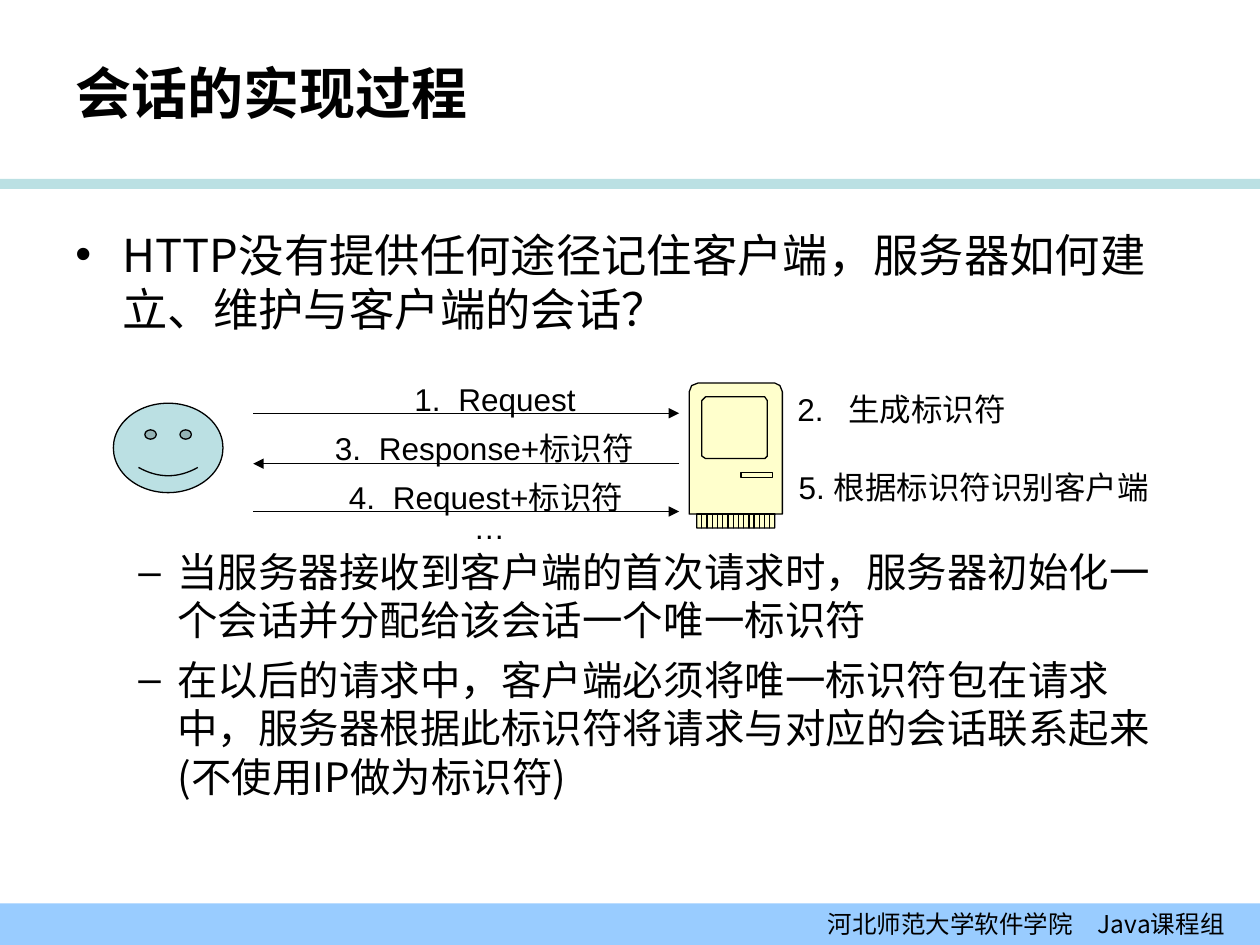
from lxml.etree import SubElement
from pptx import Presentation
from pptx.dml.color import RGBColor
from pptx.enum.shapes import MSO_CONNECTOR, MSO_SHAPE
from pptx.enum.text import MSO_ANCHOR, PP_ALIGN
from pptx.oxml.ns import qn
from pptx.util import Inches, Pt

BLACK = RGBColor(0x00, 0x00, 0x00)
TEAL = RGBColor(0xBB, 0xE0, 0xE3)
BLUE = RGBColor(0x99, 0xCC, 0xFF)
CREAM = RGBColor(0xFF, 0xFF, 0xCC)
CHINESE_FONT = "Noto Sans CJK SC"
LATIN_FONT = "Arial"

deck = Presentation()
deck.slide_width = Inches(10)
deck.slide_height = Inches(7.5)
page = deck.slides.add_slide(deck.slide_layouts[6])
COLUMN = deck.slide_width / 100
ROW = deck.slide_height / 75


def grid(*lengths):
    return [round(length * (ROW if index % 2 else COLUMN)) for index, length in enumerate(lengths)]


def add_span(para, text, size, font=CHINESE_FONT, bold=False):
    span = para.add_run()
    span.text = text
    span.font.size = Pt(size)
    span.font.name = font
    span.font.bold = bold
    span.font.color.rgb = BLACK
    SubElement(span._r.get_or_add_rPr(), qn("a:ea"), typeface=CHINESE_FONT)


for area, color in [((0, 14.2, 100, 0.8), TEAL), ((0, 71.7, 100, 3.3), BLUE)]:
    band = page.shapes.add_shape(MSO_SHAPE.RECTANGLE, *grid(*area))
    band.shadow.inherit = False
    band.fill.solid()
    band.fill.fore_color.rgb = color
    band.line.fill.background()

footer = band.text_frame
footer.word_wrap = True
footer.vertical_anchor = MSO_ANCHOR.MIDDLE
footer.margin_right = round(2.8 * COLUMN)
footer.paragraphs[0].alignment = PP_ALIGN.RIGHT
add_span(footer.paragraphs[0], "河北师范大学软件学院　Java课程组", 14)

title = page.shapes.add_textbox(*grid(5, 3, 80, 8.7)).text_frame
title.word_wrap = True
title.vertical_anchor = MSO_ANCHOR.MIDDLE
add_span(title.paragraphs[0], "会话的实现过程", 32, bold=True)

points = [
    ("•", 3.75, 3.75, 0, 25.9, "HTTP没有提供任何途径记住客户端，服务器如何建立、维护与客户端的会话？"),
    ("–", 8.1, 3.1, 120.7, 23.1, "当服务器接收到客户端的首次请求时，服务器初始化一个会话并分配给该会话一个唯一标识符"),
    ("–", 8.1, 3.1, 6.2, 23.1, "在以后的请求中，客户端必须将唯一标识符包在请求中，服务器根据此标识符将请求与对应的会话联系起来(不使用IP做为标识符)"),
]
body = page.shapes.add_textbox(*grid(5, 17.5, 90, 49.5)).text_frame
body.word_wrap = True
for index, (bullet, margin, hanging, space, size, text) in enumerate(points):
    para = body.add_paragraph() if index else body.paragraphs[0]
    para.level = 1 if index else 0
    para.space_before = Pt(space)
    properties = para._p.get_or_add_pPr()
    properties.set("marL", str(round(margin * COLUMN)))
    properties.set("indent", str(round(-hanging * COLUMN)))
    properties.set("hangingPunct", "0")
    SubElement(properties, qn("a:buFont"), typeface=LATIN_FONT)
    SubElement(properties, qn("a:buChar"), char=bullet)
    add_span(para, text, size)

client = page.shapes.add_shape(MSO_SHAPE.SMILEY_FACE, *grid(9, 32, 8.7, 7.1))
client.shadow.inherit = False
client.fill.solid()
client.fill.fore_color.rgb = TEAL
client.line.color.rgb = BLACK
client.line.width = Pt(0.75)

casing_outline = [
    (54.7, 31.1), (54.9, 30.6), (55.4, 30.4), (61.5, 30.4), (61.9, 30.6), (62.1, 31.1),
    (62.1, 40.8), (61.5, 40.8), (61.5, 41.9), (55.3, 41.9), (55.3, 40.8), (54.7, 40.8),
]
screen = [
    (55.7, 31.8), (56, 31.5), (60.7, 31.5), (60.9, 31.8),
    (60.9, 36.2), (60.7, 36.4), (56, 36.4), (55.7, 36.2),
]
slot = [(58.8, 37.5), (61.3, 37.5), (61.3, 37.9), (58.8, 37.9)]
base = [(55.3, 40.8), (61.5, 40.8)]
vents = [[(55.7 + 0.415 * step, 40.8), (55.7 + 0.415 * step, 41.9)] for step in range(14)]

for contours, color in [([casing_outline], CREAM), ([screen, slot, base] + vents, None)]:
    builder = None
    for contour in contours:
        corners = [grid(*corner) for corner in contour]
        if builder is None:
            builder = page.shapes.build_freeform(*corners[0])
        else:
            builder.move_to(*corners[0])
        builder.add_line_segments(corners[1:], close=True)
    server = builder.convert_to_shape()
    server.shadow.inherit = False
    server.line.color.rgb = BLACK
    server.line.width = Pt(0.75)
    if color is None:
        server.fill.background()
    else:
        server.fill.solid()
        server.fill.fore_color.rgb = color

for start, end, row in [(20.1, 53.9, 32.8), (53.9, 20.1, 36.8), (20.1, 53.9, 40.6)]:
    arrow = page.shapes.add_connector(MSO_CONNECTOR.STRAIGHT, *grid(start, row, end, row))
    arrow.line.color.rgb = BLACK
    arrow.line.width = Pt(0.75)
    SubElement(arrow.line._get_or_add_ln(), qn("a:tailEnd"), type="triangle")
    SubElement(arrow._element.spPr, qn("a:effectLst"))

labels = [
    (31.9, 29.65, 14.8, 3.5, "1.\tRequest"),
    (62.3, 30.45, 18.5, 4.05, "2.\t生成标识符"),
    (25.6, 33.6, 26.3, 3.5, "3.\tResponse+标识符"),
    (26.7, 37.45, 24.3, 3.5, "4.\tRequest+标识符"),
    (62.4, 36.65, 30.4, 3.5, "5. 根据标识符识别客户端"),
    (36.6, 39.8, 4.5, 3.5, "…"),
]
for left, top, width, tab, text in labels:
    label = page.shapes.add_textbox(*grid(left, top, width + 1, 4)).text_frame
    label.word_wrap = True
    para = label.paragraphs[0]
    if "\t" in text:
        stops = SubElement(para._p.get_or_add_pPr(), qn("a:tabLst"))
        SubElement(stops, qn("a:tab"), pos=str(round(tab * COLUMN)), algn="l")
    add_span(para, text, 18, LATIN_FONT)

deck.save("out.pptx")
